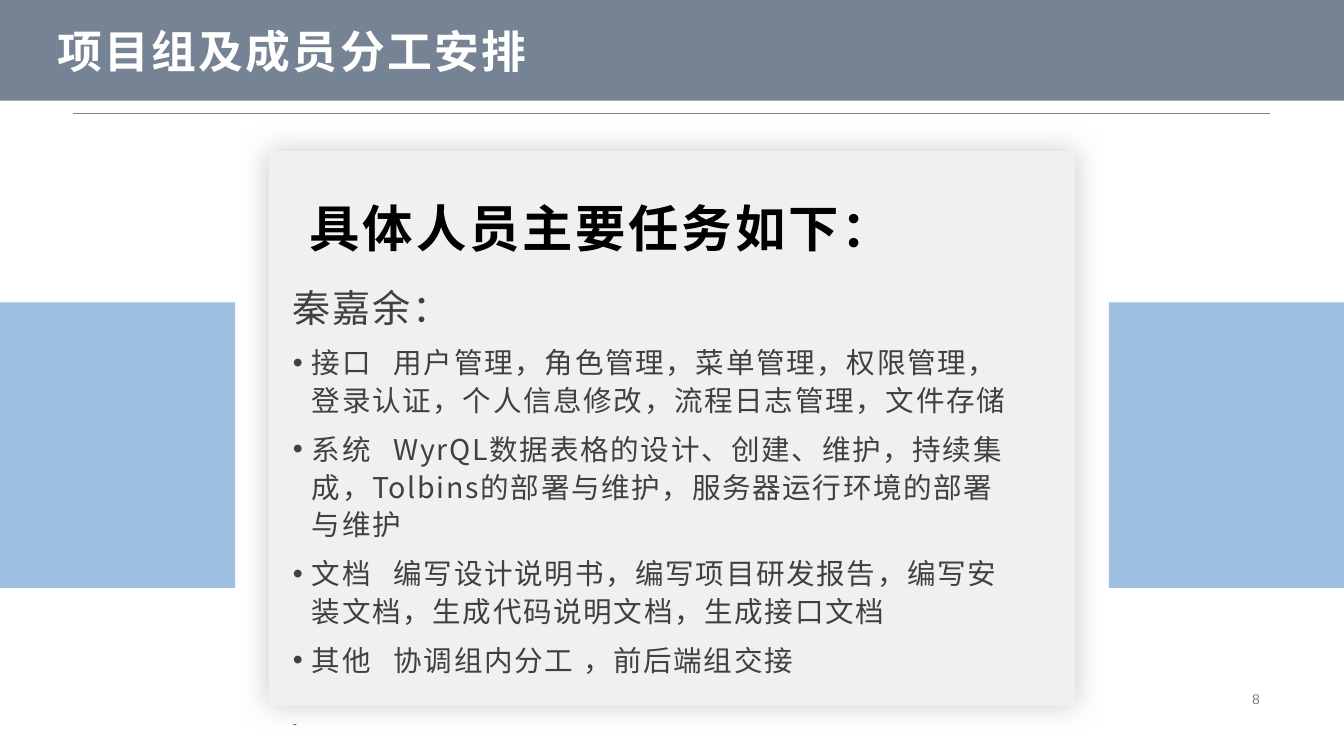
from dataclasses import dataclass

from lxml import etree
from pptx import Presentation
from pptx import util as u
from pptx.dml.color import RGBColor
from pptx.enum import shapes, text
from pptx.oxml.ns import qn

PX = 9525


@dataclass(frozen=True)
class Theme:
    font: str = "Noto Sans CJK SC"
    number_font: str = "Arial"
    band: str = "768394"
    card: str = "F0F0F0"
    shadow: str = "B4B4B4"
    side: str = "3E81C3"
    white: str = "FFFFFF"
    black: str = "000000"
    body: str = "404040"
    grey: str = "808080"
    title_size: float = 32
    heading_size: float = 36
    name_size: float = 27.2
    task_size: float = 20.4
    dash_size: float = 8.5
    number_size: float = 10


THEME = Theme()

TASKS = [
    ("接口", "用户管理，角色管理，菜单管理，权限管理，登录认证，个人信息修改，流程日志管理，文件存储"),
    ("系统", "WyrQL数据表格的设计、创建、维护，持续集成，Tolbins的部署与维护，服务器运行环境的部署与维护"),
    ("文档", "编写设计说明书，编写项目研发报告，编写安装文档，生成代码说明文档，生成接口文档"),
    ("其他", "协调组内分工 ，前后端组交接"),
]


def px(*lengths):
    return [u.Emu(n * PX) for n in lengths]


def sub(parent, tag, **attrs):
    return etree.SubElement(parent, qn(tag), {k: str(v) for k, v in attrs.items()})


def add_rect(slide, box, color, alpha=None):
    sp = slide.shapes.add_shape(shapes.MSO_SHAPE.RECTANGLE, *px(*box))
    sp.shadow.inherit = False
    sp.fill.solid()
    sp.fill.fore_color.rgb = RGBColor.from_string(color)
    sp.line.fill.background()
    if alpha is not None:
        sub(sp._element.spPr.find(".//" + qn("a:srgbClr")), "a:alpha", val=alpha * 1000)
    return sp


def add_glow_shadow(sp):
    effects = sp._element.spPr.find(qn("a:effectLst"))
    shadow = sub(effects, "a:outerShdw", blurRad=u.Pt(20), dist=0, dir=5400000,
                 algn="ctr", rotWithShape=0)
    color = sub(shadow, "a:srgbClr", val=THEME.shadow)
    sub(color, "a:alpha", val=70000)


def add_rule(slide, x1, x2, y):
    line = slide.shapes.add_connector(shapes.MSO_CONNECTOR.STRAIGHT, *px(x1, y, x2, y))
    line.line.color.rgb = RGBColor.from_string(THEME.grey)
    line.line.width = u.Pt(0.25)
    sub(line._element.spPr, "a:effectLst")


def format_frame(tf, anchor, margins=(7, 3)):
    tf.word_wrap = True
    tf.auto_size = text.MSO_AUTO_SIZE.NONE
    tf.vertical_anchor = anchor
    tf.margin_left = tf.margin_right = px(margins[0])[0]
    tf.margin_top = tf.margin_bottom = px(margins[1])[0]


def add_text(slide, box, anchor, margins=(7, 3)):
    sp = slide.shapes.add_textbox(*px(*box))
    format_frame(sp.text_frame, anchor, margins)
    return sp.text_frame


def add_run(p, words, size, color, bold=False, spacing=0, font=THEME.font):
    r = p.add_run()
    r.text = words
    r.font.size = u.Pt(size)
    r.font.bold = bold
    r.font.name = font
    r.font.color.rgb = RGBColor.from_string(color)
    rPr = r._r.get_or_add_rPr()
    rPr.set("spc", str(round(spacing * 100)))
    sub(rPr, "a:ea", typeface=font)


def add_body_paragraph(tf, words, size, bullet=False):
    p = tf.add_paragraph() if tf.paragraphs[0].runs else tf.paragraphs[0]
    p.line_spacing = 1.1
    p.space_after = u.Pt(8)
    if bullet:
        pPr = p._p.get_or_add_pPr()
        pPr.set("marL", str(18 * PX))
        pPr.set("indent", str(-18 * PX))
        sub(pPr, "a:buFont", typeface=THEME.number_font)
        sub(pPr, "a:buChar", char="•")
    add_run(p, words, size, THEME.body, spacing=1.2)
    return p


def add_title(slide, box, words):
    title = slide.shapes.title
    title.left, title.top, title.width, title.height = px(*box)
    title._element.getparent().append(title._element)
    format_frame(title.text_frame, text.MSO_ANCHOR.MIDDLE)
    p = title.text_frame.paragraphs[0]
    p.alignment = text.PP_ALIGN.LEFT
    add_run(p, words, THEME.title_size, THEME.white, bold=True, spacing=1.6)


def add_tasks(slide, box):
    tf = add_text(slide, box, text.MSO_ANCHOR.TOP)
    add_body_paragraph(tf, "秦嘉余：", THEME.name_size)
    for label, duties in TASKS:
        add_body_paragraph(tf, f"{label}\t{duties}", THEME.task_size, bullet=True)
    dash = add_body_paragraph(tf, "-", THEME.dash_size)
    dash.space_before = u.Pt(19)


def main():
    prs = Presentation()
    prs.slide_width, prs.slide_height = px(1280, 720)
    slide = prs.slides.add_slide(prs.slide_layouts[5])

    add_rule(slide, 70, 1210, 108)
    add_rect(slide, (0, 0, 1280, 96), THEME.band)
    add_glow_shadow(add_rect(slide, (256, 144, 768, 528), THEME.card))
    add_title(slide, (48, 16, 1184, 64), "项目组及成员分工安排")

    heading = add_text(slide, (288, 176, 704, 72), text.MSO_ANCHOR.BOTTOM)
    add_run(heading.paragraphs[0], "具体人员主要任务如下：", THEME.heading_size,
            THEME.black, bold=True, spacing=2)
    add_tasks(slide, (272, 264, 704, 385))

    for left in (1056, 0):
        add_rect(slide, (left, 288, 224, 272), THEME.side, alpha=50)

    number = add_text(slide, (905, 655, 305, 22), text.MSO_ANCHOR.MIDDLE, (10, 5))
    number.paragraphs[0].alignment = text.PP_ALIGN.RIGHT
    add_run(number.paragraphs[0], "8", THEME.number_size, THEME.grey,
            font=THEME.number_font)

    prs.save("out.pptx")


if __name__ == "__main__":
    main()
